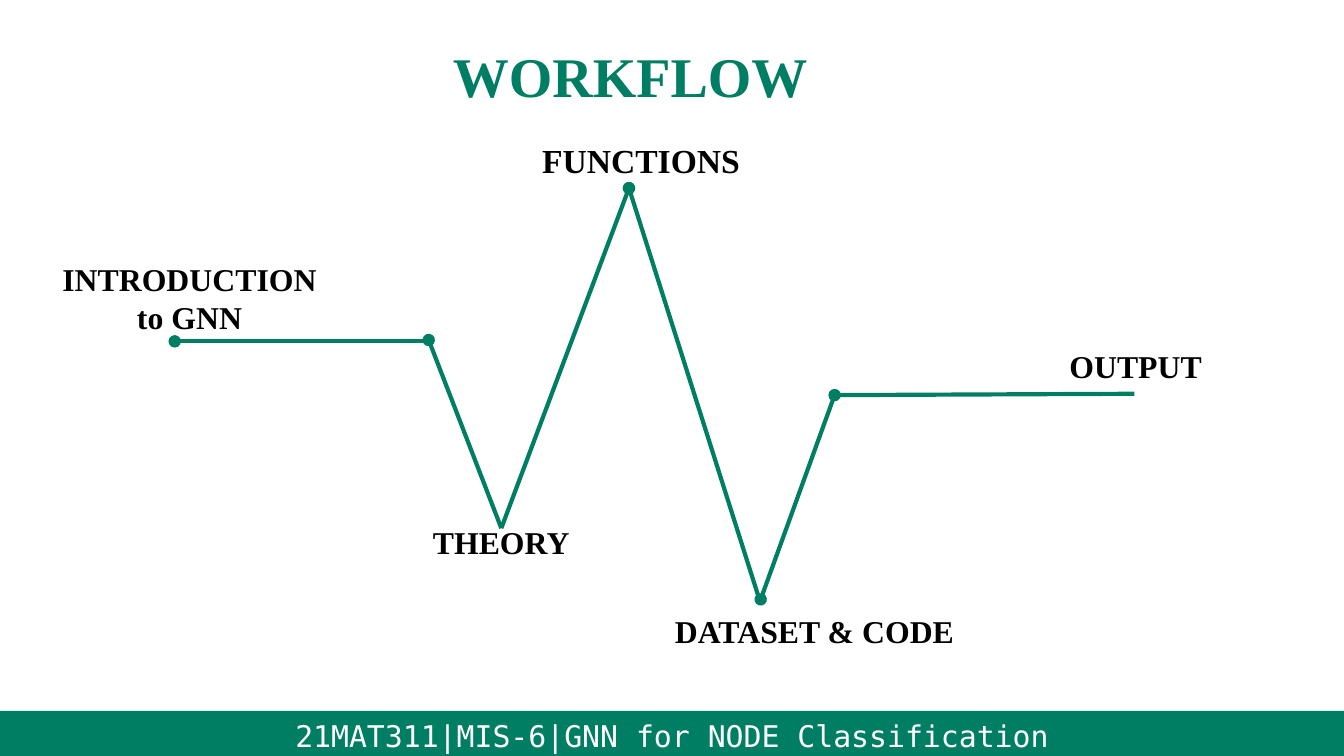
from pptx import Presentation
from pptx.dml.color import RGBColor
from pptx.enum import shapes, text
from pptx.oxml.ns import qn
from pptx.util import Inches, Pt
from lxml import etree

GREEN = RGBColor(0x00, 0x7E, 0x64)
BLACK = RGBColor(0x00, 0x00, 0x00)
WHITE = RGBColor(0xFF, 0xFF, 0xFF)

# Widescreen 16:9 slide
prs = Presentation()
prs.slide_width = Inches(10)
prs.slide_height = Inches(10 * 9 / 16)
s = prs.slides.add_slide(prs.slide_layouts[5])


def write(sp, words, size, color, font="Times New Roman", bold=True,
          anchor=text.MSO_ANCHOR.TOP, inset=0.1):
    tf = sp.text_frame
    tf.word_wrap = True
    tf.auto_size = text.MSO_AUTO_SIZE.NONE
    tf.vertical_anchor = anchor
    tf.margin_left = tf.margin_right = Inches(0.1)
    tf.margin_top = tf.margin_bottom = Inches(inset)
    p = tf.paragraphs[0]
    p.text = words
    p.alignment = text.PP_ALIGN.CENTER
    p.font.name, p.font.size, p.font.bold = font, Pt(size), bold
    p.font.color.rgb = color


# Title
title = s.shapes.title
title.left, title.top = Inches(2.83), Inches(0.21)
title.width, title.height = Inches(3.72), Inches(0.71)
write(title, "WORKFLOW", 30, GREEN)

# Workflow line: each segment starts with a dot
segments = [
    ((6.21, 2.94), (8.44, 2.93)),
    ((1.3, 2.54), (3.19, 2.54)),
    ((3.19, 2.53), (3.73, 3.93)),
    ((4.68, 1.4), (3.73, 3.93)),
    ((4.68, 1.4), (5.65, 4.46)),
    ((5.66, 4.46), (6.21, 2.94)),
]
for start, end in segments:
    line = s.shapes.add_connector(shapes.MSO_CONNECTOR.STRAIGHT,
                                  *map(Inches, start + end))
    line.line.color.rgb = GREEN
    line.line.width = Pt(2.25)
    sp_pr = line._element.spPr
    etree.SubElement(sp_pr.find(qn("a:ln")), qn("a:headEnd"), type="oval")
    etree.SubElement(sp_pr, qn("a:effectLst"))

# Step labels
labels = [
    ("INTRODUCTION to GNN", 17, (0.27, 1.83, 2.28, 0.77)),
    ("THEORY", 17, (2.86, 3.79, 1.74, 0.49)),
    ("DATASET & CODE", 17, (4.3, 4.45, 3.52, 0.49)),
    ("OUTPUT", 17, (7.83, 2.48, 1.24, 0.49)),
    ("FUNCTIONS", 18, (3.9, 0.94, 1.74, 0.5)),
]
for words, size, box in labels:
    write(s.shapes.add_textbox(*map(Inches, box)), words, size, BLACK)

# Footer band
footer = s.shapes.add_shape(shapes.MSO_SHAPE.RECTANGLE, Inches(0), Inches(5.29),
                            prs.slide_width, Inches(0.37))
footer.shadow.inherit = False
footer.fill.solid()
footer.fill.fore_color.rgb = GREEN
footer.line.fill.background()
write(footer, "21MAT311|MIS-6|GNN for NODE Classification", 16, WHITE,
      font="DejaVu Sans Mono", bold=False,
      anchor=text.MSO_ANCHOR.MIDDLE, inset=0.05)

prs.save("out.pptx")
